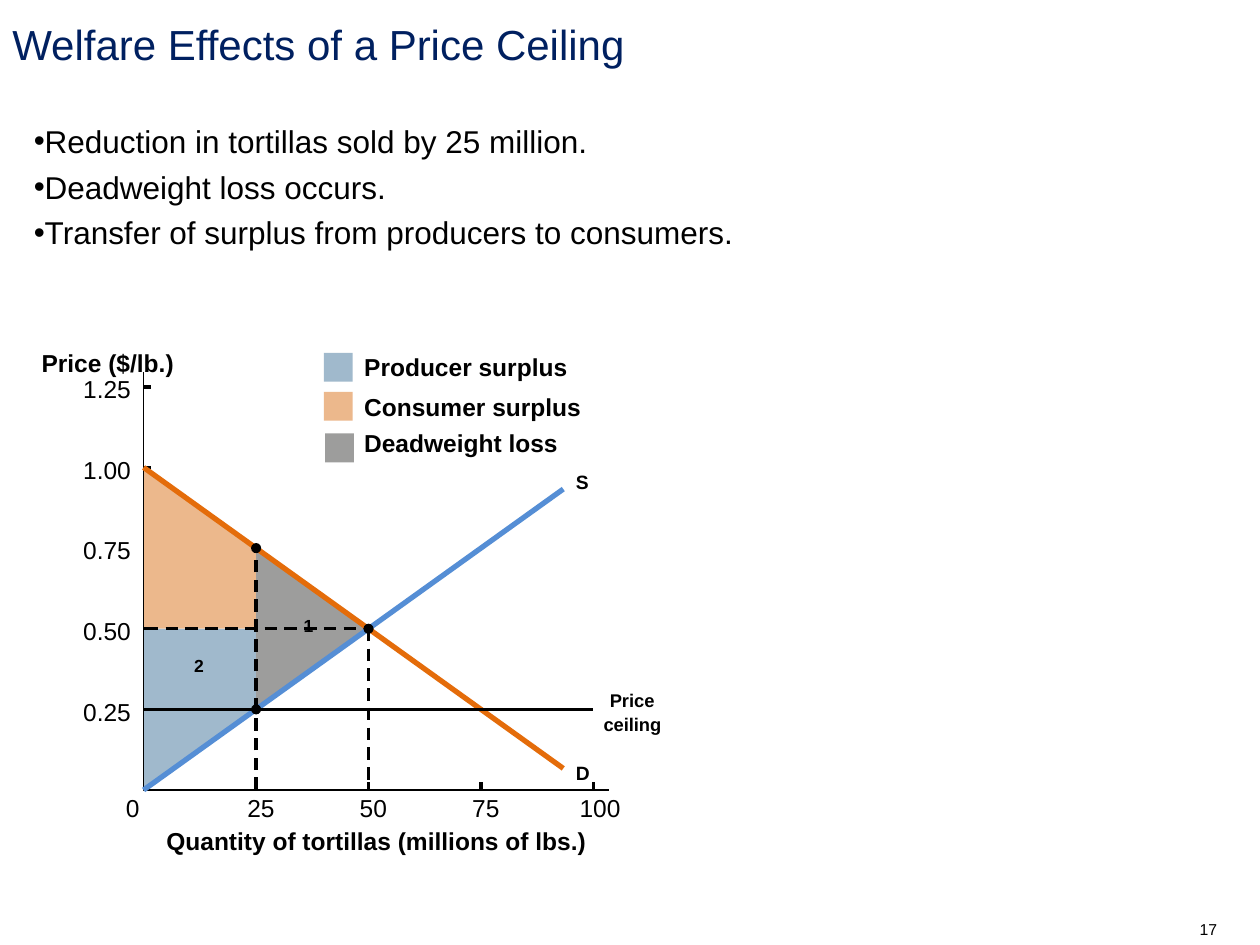
from dataclasses import dataclass
from math import ceil, dist

from lxml.etree import SubElement
from pptx import Presentation
from pptx.dml.color import RGBColor
from pptx.enum.shapes import MSO_CONNECTOR as Connector, MSO_SHAPE as Preset
from pptx.enum.text import MSO_ANCHOR as Anchor, MSO_AUTO_SIZE as AutoSize, PP_ALIGN as Align
from pptx.oxml.ns import qn
from pptx.util import Inches, Pt

BLACK, WHITE, NAVY = "000000", "FFFFFF", "002060"
PRODUCER, CONSUMER, DEADWEIGHT = "A0B9CC", "ECB88C", "9D9D9C"
SUPPLY, DEMAND = "558ED5", "E46C0A"
HAIRLINE = 0
ORIGIN_X, ORIGIN_Y = 1.14, 6.27
INCHES_PER_UNIT, INCHES_PER_DOLLAR = 3.57 / 100, 2.56
TICK = 0.06
DASH, GAP = 0.1, 0.06
DOT = 0.08
SWATCH = 0.23

Point = tuple[float, float]


@dataclass
class Label:
    text: str
    left: float
    top: float
    width: float
    height: float
    size: float = 14
    bold: bool = True


@dataclass
class LegendEntry:
    label: Label
    color: str
    left: float
    top: float


@dataclass
class Region:
    color: str
    corners: list[Point]


deck = Presentation()
deck.slide_width, deck.slide_height = Inches(10), Inches(7.5)
page = deck.slides.add_slide(deck.slide_layouts[6])


def rgb(color: str) -> RGBColor:
    return RGBColor.from_string(color)


def spot(quantity: float, price: float) -> Point:
    """Slide position in inches of a point on the graph."""
    return ORIGIN_X + quantity * INCHES_PER_UNIT, ORIGIN_Y - price * INCHES_PER_DOLLAR


def style_font(para, size: float, color: str = BLACK, bold: bool = False) -> None:
    for span in para.runs:
        font = span.font
        font.name, font.size, font.bold = "Arial", Pt(size), bold
        font.color.rgb = rgb(color)


def add_box(left: float, top: float, width: float, height: float):
    box = page.shapes.add_textbox(Inches(left), Inches(top), Inches(width), Inches(height))
    box.text_frame.word_wrap = True
    return box


def add_label(label: Label) -> None:
    frame = add_box(label.left, label.top, label.width, label.height).text_frame
    frame.margin_left = frame.margin_right = frame.margin_top = frame.margin_bottom = 0
    frame.word_wrap = False
    frame.auto_size = AutoSize.SHAPE_TO_FIT_TEXT
    frame.text = label.text
    style_font(frame.paragraphs[0], label.size, bold=label.bold)


def add_outline(points: list[Point], closed: bool):
    corners = [(Inches(x), Inches(y)) for x, y in points]
    builder = page.shapes.build_freeform(*corners[0])
    builder.add_line_segments(corners[1:], close=closed)
    outline = builder.convert_to_shape()
    outline.shadow.inherit = False
    return outline


def fill_plain(shape, color: str) -> None:
    shape.shadow.inherit = False
    shape.fill.solid()
    shape.fill.fore_color.rgb = rgb(color)
    shape.line.fill.background()


def add_preset(preset: Preset, left: float, top: float, size: float, color: str) -> None:
    fill_plain(page.shapes.add_shape(
        preset, Inches(left), Inches(top), Inches(size), Inches(size)), color)


def add_line(start: Point, end: Point, color: str = BLACK, width: float = HAIRLINE) -> None:
    line = page.shapes.add_connector(Connector.STRAIGHT, *map(Inches, start + end))
    line.line.color.rgb = rgb(color)
    line.line.width = Pt(width)
    SubElement(line._element.spPr, qn("a:effectLst"))


def add_dashes(start: Point, end: Point, period: float = DASH + GAP - 0.003) -> None:
    """Draw a guide line as separate strokes, the last one cut at the end."""
    length = dist(start, end)

    def along(distance: float) -> Point:
        share = min(distance / length, 1)
        return tuple(a + (b - a) * share for a, b in zip(start, end))

    for index in range(ceil(length / period)):
        add_line(along(index * period), along(index * period + DASH))


def add_title() -> None:
    frame = add_box(0, 0, 10, 0.7).text_frame
    frame.vertical_anchor = Anchor.MIDDLE
    frame.text = "Welfare Effects of a Price Ceiling"
    style_font(frame.paragraphs[0], 24, NAVY)


def add_bullets(lines: list[str]) -> None:
    frame = add_box(0.17, 0.92, 9.67, 6.17).text_frame
    frame.text = "\n".join(lines)
    for index, para in enumerate(frame.paragraphs):
        properties = para._p.get_or_add_pPr()
        SubElement(properties, qn("a:buFont"), typeface="Arial")
        SubElement(properties, qn("a:buChar"), char="•")
        if index:
            para.space_before = Pt(4.5)
        style_font(para, 18)


def add_page_number() -> None:
    box = add_box(9.17, 7.25, 0.83, 0.25)
    box.fill.solid()
    box.fill.fore_color.rgb = rgb(WHITE)
    frame = box.text_frame
    frame.margin_right = Inches(0.34)
    frame.vertical_anchor = Anchor.MIDDLE
    frame.text = "17"
    frame.paragraphs[0].alignment = Align.RIGHT
    style_font(frame.paragraphs[0], 9)


def add_axes() -> None:
    axes = add_outline([(4.83, ORIGIN_Y), (ORIGIN_X, ORIGIN_Y), (ORIGIN_X, 2.95)], closed=False)
    axes.fill.background()
    axes.line.color.rgb = rgb(BLACK)
    axes.line.width = Pt(HAIRLINE)
    add_label(Label("0", 1, 6.29, 0.13, 0.27, bold=False))
    for price in (0.25, 0.5, 0.75, 1, 1.25):
        x, y = spot(0, price)
        if price != 0.75:
            add_line((x, y), (x + TICK, y))
        add_label(Label(f"{price:.2f}", 0.66, y - 0.1, 0.38, 0.24, bold=False))
    for quantity, shift in ((25, 0.07), (50, 0.07), (75, 0.07), (100, 0.11)):
        x, y = spot(quantity, 0)
        add_line((x, y - TICK), (x, y))
        text = str(quantity)
        add_label(Label(text, x - shift, 6.29, 0.125 * len(text), 0.27, bold=False))


REGIONS = [
    Region(CONSUMER, [(0, 1), (25, 0.75), (25, 0.5), (0, 0.5)]),
    Region(PRODUCER, [(0, 0.5), (25, 0.5), (25, 0.25), (0, 0)]),
    Region(DEADWEIGHT, [(25, 0.75), (50, 0.5), (25, 0.25)]),
]
LEGEND = [
    LegendEntry(Label("Producer surplus", 2.89, 2.79, 1.89, 0.27), PRODUCER, 2.57, 2.8),
    LegendEntry(Label("Consumer surplus", 2.89, 3.11, 2.01, 0.27), CONSUMER, 2.57, 3.11),
    LegendEntry(Label("Deadweight loss", 2.89, 3.4, 1.8, 0.27), DEADWEIGHT, 2.58, 3.44),
]
LABELS = [
    Label("Price", 4.84, 5.47, 0.42, 0.2, 10.5),
    Label("ceiling", 4.79, 5.66, 0.54, 0.2, 10.5),
    Label("Quantity of tortillas (millions of lbs.)", 1.32, 6.56, 3.48, 0.24),
    Label("Price ($/lb.)", 0.33, 2.76, 1.06, 0.24),
    Label("S", 4.57, 3.73, 0.12, 0.21, 11),
    Label("D", 4.57, 6.04, 0.13, 0.21, 11),
    Label("1", 2.41, 4.88, 0.17, 0.22, 10),
    Label("2", 1.54, 5.2, 0.17, 0.22, 10),
]

add_page_number()
add_title()
add_bullets([
    "Reduction in tortillas sold by 25 million.",
    "Deadweight loss occurs.",
    "Transfer of surplus from producers to consumers.",
])
for region in REGIONS:
    fill_plain(add_outline([spot(*corner) for corner in region.corners], closed=True), region.color)
for entry in LEGEND:
    add_preset(Preset.RECTANGLE, entry.left, entry.top, SWATCH, entry.color)
    add_label(entry.label)
add_axes()
add_dashes(spot(50, 0.5), spot(50, 0))
add_dashes(spot(0.5, 0.5), spot(50, 0.5))
add_line(spot(0, 1), spot(93.3, 0.067), DEMAND, 3)
add_line(spot(93.3, 0.933), spot(0, 0), SUPPLY, 3)
add_line(spot(0, 0.25), spot(100, 0.25))
add_dashes(spot(25, 0), spot(25, 0.75))
for point in ((50, 0.5), (25, 0.75), (25, 0.25)):
    x, y = spot(*point)
    add_preset(Preset.OVAL, x - DOT / 2, y - DOT / 2, DOT, BLACK)
for label in LABELS:
    add_label(label)

deck.save("out.pptx")
